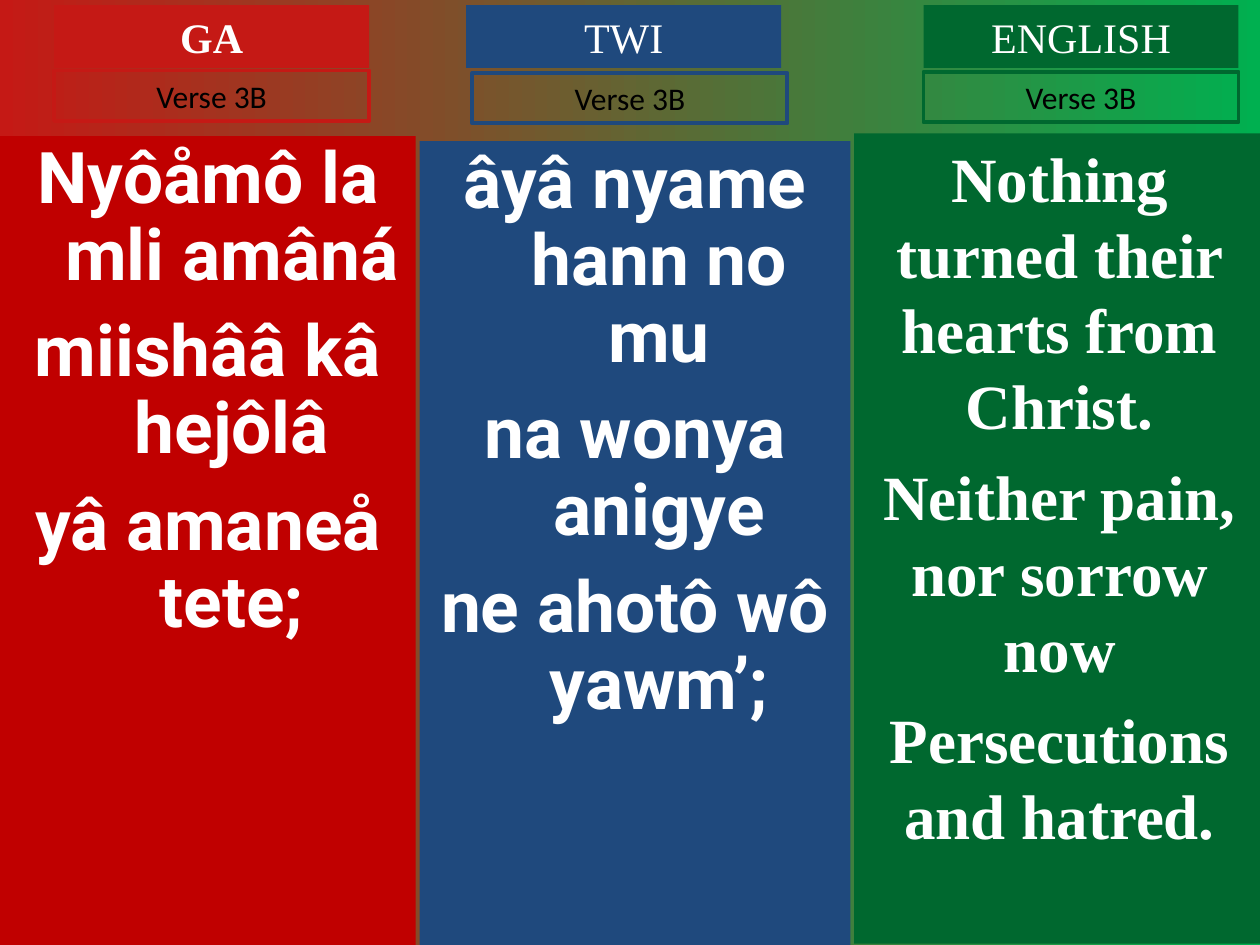
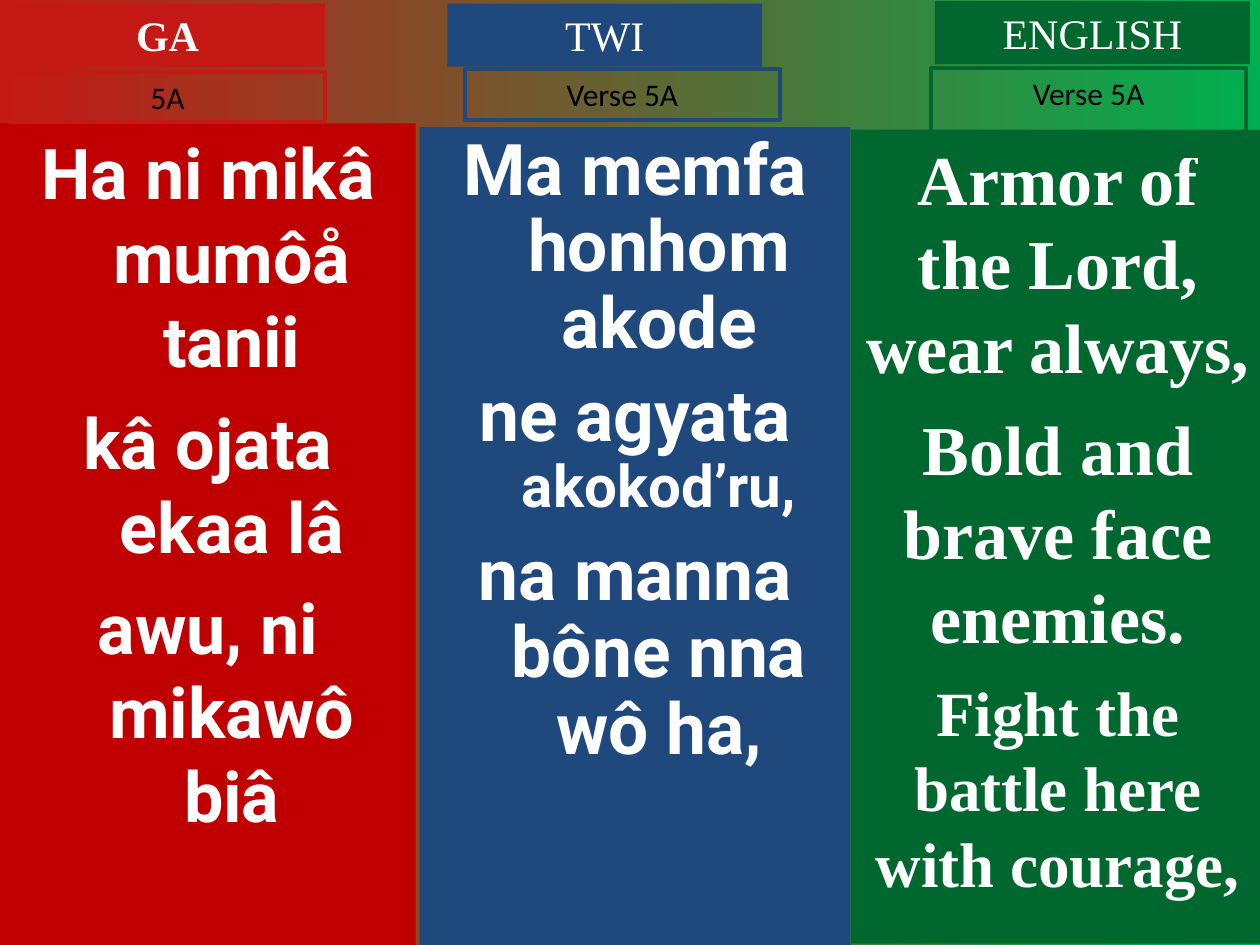
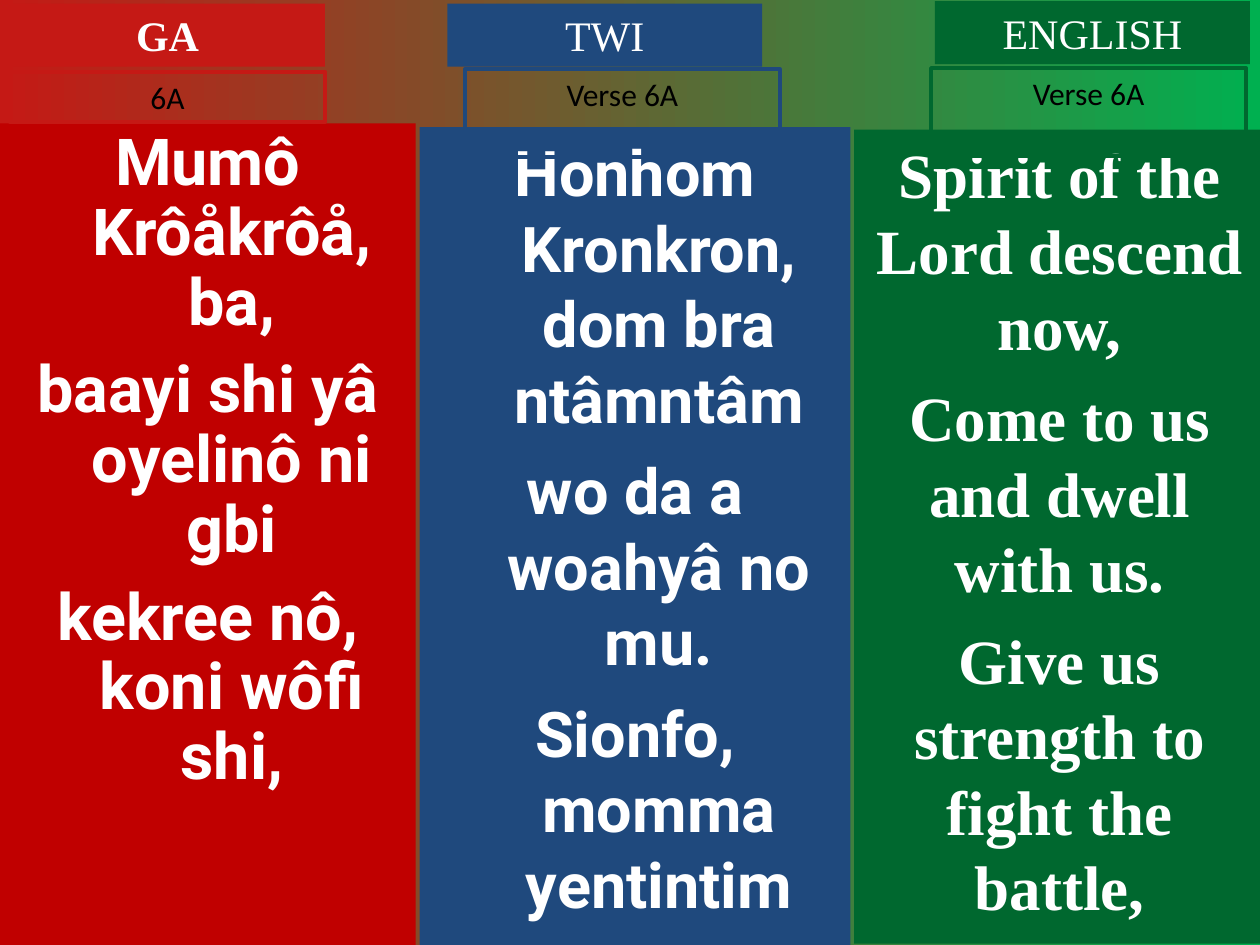
import dataclasses

import pptx
import pptx.dml.color
import pptx.enum.shapes
import pptx.enum.text
import pptx.util

Inches = pptx.util.Inches
SHRINK = 0.925


@dataclasses.dataclass
class Language:
    """Look of one language column."""
    name: str
    panel_color: str
    label_color: str
    font: str
    right: float
    bottom: float
    indent: float = 0
    bold_heading: bool = False


@dataclasses.dataclass
class Verse:
    """Text of one language on one slide, with its places in inches."""
    tag: str
    lines: list
    size: float
    panel: tuple
    heading: tuple
    tag_box: tuple
    condensed: bool = False


LANGUAGES = [
    Language("GA", "C00000", "C51915", "Roboto", 3.3, 7.5, 0.38, True),
    Language("TWI", "1F497D", "1F497D", "Roboto", 6.75, 7.5, 0.38),
    Language("ENGLISH", "00682F", "00682F", "Times New Roman", 10.04, 7.49),
]

GA_PLACES = {"panel": (0, 0.98), "heading": (0.08, 0.03), "tag_box": (0.08, 0.57, 0.4)}
TWI_PLACES = {"panel": (3.33, 1.01), "heading": (3.55, 0.03)}
ENGLISH_PLACES = {"heading": (7.42, 0.01), "tag_box": (7.39, 0.54, 0.7)}

SLIDES = [
    [
        Verse("Verse 3B", ["Nyôåmô la mli amâná", "miishââ kâ hejôlâ", "yâ amaneå tete;"],
              40.7, (0, 1.08), (0.43, 0.04), (0.43, 0.56, 0.4), True),
        Verse("Verse 3B", ["âyâ nyame hann no mu", "na wonya anigye", "ne ahotô wô yawm’;"],
              40.7, (3.33, 1.12), (3.7, 0.04), (3.75, 0.58, 0.4), True),
        Verse("Verse 3B", ["Nothing turned their hearts from Christ.",
                           "Neither pain, nor sorrow now", "Persecutions and hatred."],
              36, (6.78, 1.06), (7.33, 0.04), (7.33, 0.57, 0.4)),
    ],
    [
        Verse("5A", ["Ha ni mikâ mumôå tanii", "kâ ojata ekaa lâ", "awu, ni mikawô biâ"],
              40, **GA_PLACES),
        Verse("Verse 5A", ["Ma memfa honhom akode",
                           [("ne agyata ", 40.7), ("akokod’ru,", 33.3)],
                           "na manna bône nna wô ha,"],
              40.7, tag_box=(3.69, 0.55, 0.4), condensed=True, **TWI_PLACES),
        Verse("Verse 5A", ["Armor of the Lord, wear always,", "Bold and brave face enemies.",
                           [("Fight the battle here with courage,", 36)]],
              40, (6.75, 1.03), **ENGLISH_PLACES),
    ],
    [
        Verse("6A", ["Mumô Krôåkrôå, ba,", "baayi shi yâ oyelinô ni gbi",
                     "kekree nô, koni wôfi shi,"],
              37, condensed=True, **GA_PLACES),
        Verse("Verse 6A", ["Honhom Kronkron, dom bra ntâmntâm", "wo da a woahyâ no mu.",
                           "Sionfo, momma yentintim"],
              36, tag_box=(3.69, 0.55, 0.7), **TWI_PLACES),
        Verse("Verse 6A", ["Spirit of the Lord descend now,", "Come to us and dwell with us.",
                           "Give us strength to fight the battle,"],
              36, (6.78, 1.03), **ENGLISH_PLACES),
    ],
]


def rgb(color):
    """Return the colour for a hex string."""
    return pptx.dml.color.RGBColor.from_string(color)


class HymnDeck:
    """Holds the presentation, its style and the current slide."""

    def __init__(self):
        self.presentation = pptx.Presentation()
        self.presentation.slide_width = Inches(10)
        self.presentation.slide_height = Inches(7.5)
        self.slide = None

    def add_slide(self):
        """Start a blank slide on the red to green background."""
        self.slide = self.presentation.slides.add_slide(self.presentation.slide_layouts[6])
        fill = self.slide.background.fill
        fill.gradient()
        fill.gradient_angle = 0
        for stop, color in zip(fill.gradient_stops, ("C51915", "00B050")):
            stop.color.rgb = rgb(color)

    def add_box(self, left, top, width, height, fill=None, line=None):
        """Add a rectangle whose text wraps and starts at the top."""
        shape = self.slide.shapes.add_shape(
            pptx.enum.shapes.MSO_SHAPE.RECTANGLE,
            Inches(left), Inches(top), Inches(width), Inches(height))
        shape.shadow.inherit = False
        if fill:
            shape.fill.solid()
            shape.fill.fore_color.rgb = rgb(fill)
        else:
            shape.fill.background()
        if line:
            shape.line.color.rgb = rgb(line)
            shape.line.width = pptx.util.Pt(2.25)
        else:
            shape.line.fill.background()
        shape.text_frame.word_wrap = True
        shape.text_frame.vertical_anchor = pptx.enum.text.MSO_ANCHOR.TOP
        return shape

    def add_runs(self, paragraph, runs, font, color="FFFFFF", bold=False):
        """Put centred runs of (text, size) into a paragraph."""
        paragraph.alignment = pptx.enum.text.PP_ALIGN.CENTER
        for text, size in runs:
            run = paragraph.add_run()
            run.text = text
            run.font.name = font
            run.font.size = pptx.util.Pt(size)
            run.font.bold = bold
            run.font.color.rgb = rgb(color)

    def add_panel(self, language, verse):
        """Add the filled column with the lines of the verse."""
        left, top = verse.panel
        shape = self.add_box(left, top, language.right - left, language.bottom - top,
                             fill=language.panel_color)
        text_frame = shape.text_frame
        for index, line in enumerate(verse.lines):
            paragraph = text_frame.add_paragraph() if index else text_frame.paragraphs[0]
            runs = [(line, verse.size)] if isinstance(line, str) else line
            smallest = min(size for text, size in runs)
            if index:
                full_size = smallest / SHRINK if verse.condensed else smallest
                paragraph.space_before = pptx.util.Pt(round(full_size / 4))
            if verse.condensed:
                paragraph.line_spacing = 0.9
            if language.indent:
                properties = paragraph._p.get_or_add_pPr()
                properties.set("marL", str(Inches(language.indent)))
                properties.set("indent", str(-Inches(language.indent)))
            self.add_runs(paragraph, runs, language.font, bold=True)

    def add_heading(self, language, verse):
        """Add the filled label with the language name."""
        shape = self.add_box(*verse.heading, 2.5, 0.5, fill=language.label_color)
        self.add_runs(shape.text_frame.paragraphs[0], [(language.name, 24)],
                      "Times New Roman", bold=language.bold_heading)

    def add_tag(self, language, verse):
        """Add the outlined label with the verse number."""
        left, top, height = verse.tag_box
        shape = self.add_box(left, top, 2.5, height, line=language.label_color)
        self.add_runs(shape.text_frame.paragraphs[0], [(verse.tag, 18)], "Calibri", "000000")


def main():
    """Build the three hymn slides."""
    deck = HymnDeck()
    for verses in SLIDES:
        deck.add_slide()
        for add_element in (deck.add_panel, deck.add_heading, deck.add_tag):
            for language, verse in zip(LANGUAGES, verses):
                add_element(language, verse)
    deck.presentation.save("out.pptx")


if __name__ == "__main__":
    main()
